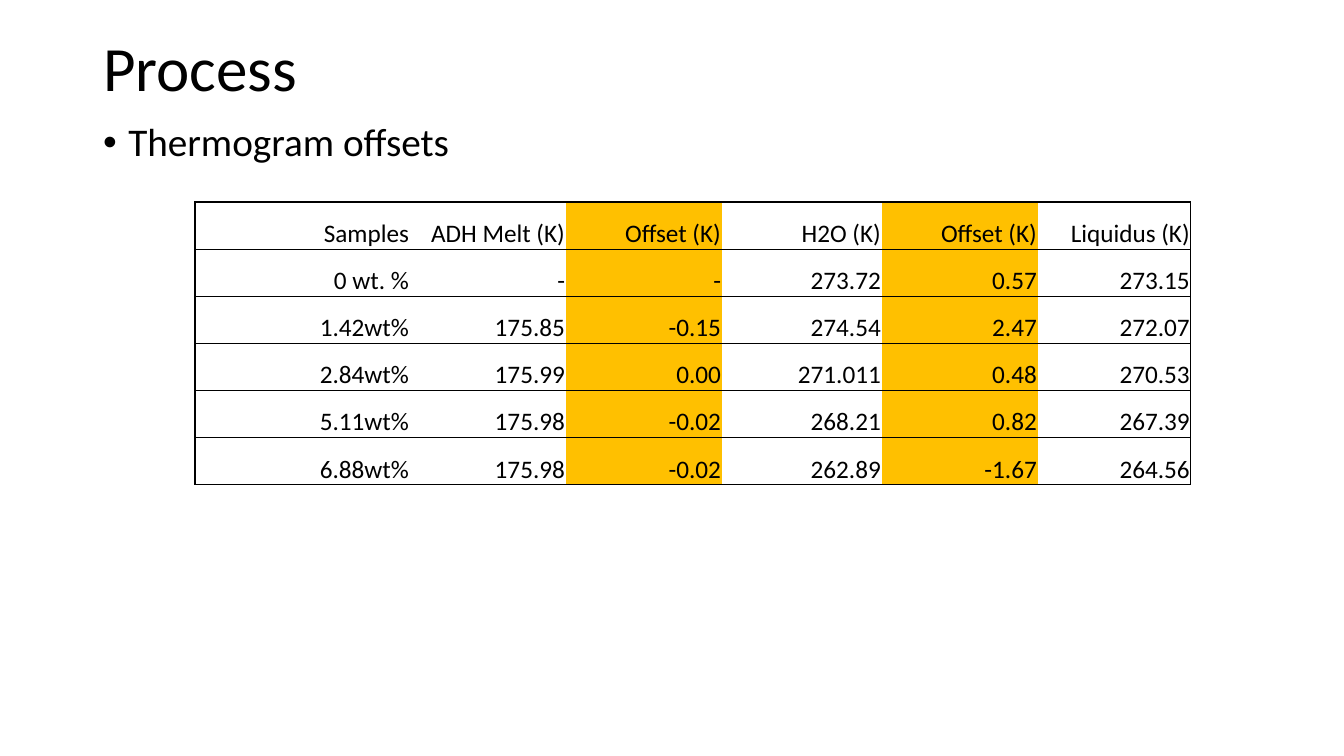
from pptx import Presentation, util as u
from pptx.dml.color import RGBColor
from pptx.enum import text as t
from pptx.oxml.ns import qn
from lxml import etree

TITLE = "Process"
POINT = "Thermogram offsets"
ROWS = [
    ("Samples", "ADH Melt (K)", "Offset (K)", "H2O (K)", "Offset (K)", "Liquidus (K)"),
    ("0 wt. %", "-", "-", "273.72", "0.57", "273.15"),
    ("1.42wt%", "175.85", "-0.15", "274.54", "2.47", "272.07"),
    ("2.84wt%", "175.99", "0.00", "271.011", "0.48", "270.53"),
    ("5.11wt%", "175.98", "-0.02", "268.21", "0.82", "267.39"),
    ("6.88wt%", "175.98", "-0.02", "262.89", "-1.67", "264.56"),
]
WIDTHS = [215, 156, 156, 160, 156, 153]
ROW_H = 47
FONT, INK, PAPER, GOLD = "Calibri", "000000", "FFFFFF", "FFC000"


def px(n):
    return u.Emu(round(n * 914400 / 100.8))


def color(code):
    return RGBColor.from_string(code)


def write(frame, words, size, align=t.PP_ALIGN.LEFT, lines=1.0, anchor=t.MSO_ANCHOR.TOP):
    frame.text = words
    frame.word_wrap = True
    frame.vertical_anchor = anchor
    para = frame.paragraphs[0]
    para.alignment = align
    para.line_spacing = lines
    para.space_before = u.Pt(0)
    font = para.runs[0].font
    font.name, font.size, font.bold = FONT, u.Pt(size), False
    font.color.rgb = color(INK)
    return para


def place(shape, left, top, width, height):
    shape.left, shape.top = px(left), px(top)
    shape.width, shape.height = px(width), px(height)


def rule(cell, shown):
    """Draw the cell sides named in shown (of L, R, T, B) and clear the others."""
    props = cell._tc.get_or_add_tcPr()
    for side in "LRTB":
        line = etree.SubElement(props, qn(f"a:ln{side}"), w=str(u.Pt(1)))
        if side in shown:
            fill = etree.SubElement(line, qn("a:solidFill"))
            etree.SubElement(fill, qn("a:srgbClr"), val=INK)
        else:
            etree.SubElement(line, qn("a:noFill"))


deck = Presentation()
deck.slide_width, deck.slide_height = px(1344), px(756)
slide = deck.slides.add_slide(deck.slide_layouts[1])
title, body = slide.placeholders

place(title, 93, 40, 1159, 67)
write(title.text_frame, TITLE, 45, lines=0.7, anchor=t.MSO_ANCHOR.BOTTOM)

place(body, 93, 118, 1201, 562)
point = write(body.text_frame, POINT, 28, lines=0.9)
indent = u.Inches(0.25)
props = point._p.get_or_add_pPr()
props.set("marL", str(indent))
props.set("indent", str(-indent))

frame = slide.shapes.add_table(len(ROWS), len(WIDTHS), px(195), px(202),
                               px(sum(WIDTHS)), px(ROW_H * len(ROWS)))
table = frame.table
table.first_row = table.horz_banding = False
for col, width in zip(table.columns, WIDTHS):
    col.width = px(width)
for r, row in enumerate(ROWS):
    table.rows[r].height = px(ROW_H)
    for c, words in enumerate(row):
        cell = table.cell(r, c)
        cell.margin_left = cell.margin_right = cell.margin_top = px(1)
        cell.margin_bottom = 0
        cell.vertical_anchor = t.MSO_ANCHOR.MIDDLE
        rule(cell, "TB" + {0: "L", len(row) - 1: "R"}.get(c, ""))
        cell.fill.solid()
        cell.fill.fore_color.rgb = color(GOLD if ROWS[0][c].startswith("Offset") else PAPER)
        write(cell.text_frame, words, 18, align=t.PP_ALIGN.RIGHT, lines=1.5,
              anchor=None)

deck.save("out.pptx")
